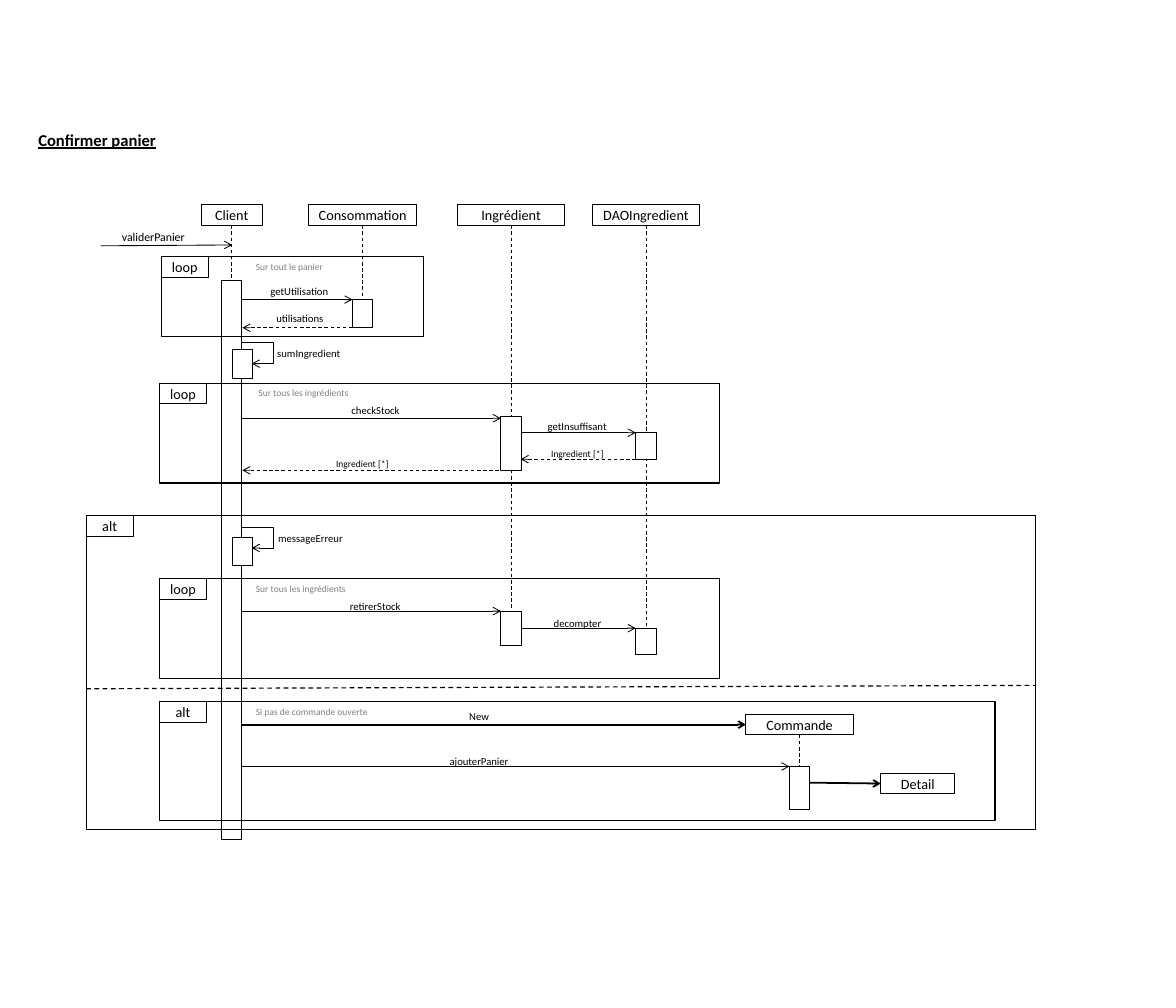
from dataclasses import dataclass

from lxml.etree import SubElement
from pptx import Presentation
from pptx.dml.color import RGBColor
from pptx.enum.dml import MSO_LINE
from pptx.enum.shapes import MSO_CONNECTOR, MSO_SHAPE
from pptx.enum.text import MSO_ANCHOR, MSO_AUTO_SIZE, PP_ALIGN
from pptx.oxml.ns import qn
from pptx.shapes.autoshape import Shape
from pptx.shapes.connector import Connector
from pptx.shapes.shapetree import SlideShapes
from pptx.text.text import Font
from pptx.util import Inches, Pt

BLACK, WHITE, GREY = "000000", "FFFFFF", "808080"
ROW, BAR = 0.24, 0.24
HEIGHTS = {8: 0.24, 9: 0.25, 10: 0.27, 14: 0.34}
TOP, BOTTOM, LEFT = 0, 2, 1


@dataclass
class Life:
    name: str
    left: float
    top: float
    width: float
    bars: tuple[tuple[float, float], ...] = ()


@dataclass
class Label:
    text: str
    left: float
    top: float
    width: float
    size: int = 9
    color: str = BLACK


@dataclass
class Message:
    start: float
    end: float
    y: float
    label: Label | None = None
    dashed: bool = False
    weight: float = 0.75
    drop: float = 0
    root: str = ""
    goal: str = ""


@dataclass
class Loop:
    bar: float
    bend: float
    label: Label


@dataclass
class Frame:
    name: str
    left: float
    top: float
    width: float
    height: float
    guard: Label | None = None


LIVES = [
    Life("Client", 2.36, 2.4, 0.71, ((3.29, 6.55),)),
    Life("Consommation", 3.62, 2.4, 1.26, ((3.51, 0.33),)),
    Life("Ingrédient", 5.36, 2.4, 1.26, ((4.88, 0.63), (7.16, 0.4))),
    Life("DAOIngredient", 6.94, 2.4, 1.26, ((5.07, 0.31), (7.36, 0.31))),
    Life("Commande", 8.74, 8.37, 1.26, ((8.98, 0.5),)),
    Life("Detail", 10.32, 9.06, 0.87),
]
MESSAGES = [
    Message(1.18, 2.72, 2.88, Label("validerPanier", 1.33, 2.64, 0.95, 10), drop=-0.01),
    Message(2.84, 4.13, 3.51, Label("getUtilisation", 3.07, 3.29, 0.89)),
    Message(4.13, 2.84, 3.84, Label("utilisations", 3.14, 3.61, 0.76), True),
    Message(2.84, 5.87, 4.9, Label("checkStock", 4.02, 4.68, 0.77)),
    Message(6.1, 7.45, 5.07, Label("getInsuffisant", 6.32, 4.87, 0.9)),
    Message(7.45, 6.1, 5.38, Label("Ingredient [*]", 6.36, 5.2, 0.83, 8), True),
    Message(5.99, 2.84, 5.51, Label("Ingredient [*]", 3.84, 5.32, 0.83, 8), True,
            root="Ingrédient"),
    Message(2.84, 5.87, 7.16, Label("retirerStock", 4, 6.98, 0.81)),
    Message(6.1, 7.45, 7.36, Label("decompter", 6.39, 7.18, 0.77)),
    Message(2.84, 8.74, 8.49, Label("New", 5.4, 8.27, 0.44), weight=1.5, goal="Commande"),
    Message(2.84, 9.25, 8.98, Label("ajouterPanier", 5.17, 8.8, 0.9)),
    Message(9.49, 10.32, 9.17, weight=1.5, goal="Detail"),
]
LOOPS = [
    Loop(4.1, 4.04, Label("sumIngredient", 3.15, 4.01, 0.95)),
    Loop(6.3, 6.2, Label("messageErreur", 3.16, 6.18, 0.97)),
]
FRAMES = [
    Frame("loop", 1.89, 3.01, 3.07, 0.93, Label("Sur tout le panier", 2.9, 3.01, 0.99, 8, GREY)),
    Frame("loop", 1.87, 4.49, 6.56, 1.17,
          Label("Sur tous les ingrédients", 2.93, 4.49, 1.27, 8, GREY)),
    Frame("loop", 1.87, 6.78, 6.56, 1.17,
          Label("Sur tous les ingrédients", 2.9, 6.78, 1.27, 8, GREY)),
    Frame("alt", 1.87, 8.22, 9.79, 1.39,
          Label("Si pas de commande ouverte", 2.9, 8.22, 1.52, 8, GREY)),
    Frame("alt", 1.01, 6.04, 11.12, 3.68),
]


def paint(code: str) -> RGBColor:
    return RGBColor.from_string(code)


def style(font: Font, size: int, color: str) -> None:
    font.name, font.size = "Calibri", Pt(size)
    font.color.rgb = paint(color)


def draw_box(shapes: SlideShapes, left: float, top: float, width: float, height: float,
             text: str = "", fill: str = "", weight: float = 0.75) -> Shape:
    box = shapes.add_shape(MSO_SHAPE.RECTANGLE, Inches(left), Inches(top),
                           Inches(width), Inches(height))
    box.shadow.inherit = False
    if fill:
        box.fill.solid()
        box.fill.fore_color.rgb = paint(fill)
    else:
        box.fill.background()
    box.line.color.rgb, box.line.width = paint(BLACK), Pt(weight)
    if text:
        frame = box.text_frame
        frame.text, frame.vertical_anchor = text, MSO_ANCHOR.MIDDLE
        frame.paragraphs[0].alignment = PP_ALIGN.CENTER
        style(frame.paragraphs[0].runs[0].font, 12, BLACK)
    return box


def draw_label(shapes: SlideShapes, label: Label, wrap: bool = False) -> Font:
    box = shapes.add_textbox(Inches(label.left), Inches(label.top),
                             Inches(label.width), Inches(HEIGHTS[label.size]))
    frame = box.text_frame
    frame.text, frame.word_wrap = label.text, wrap
    frame.auto_size = MSO_AUTO_SIZE.SHAPE_TO_FIT_TEXT
    font = frame.paragraphs[0].runs[0].font
    style(font, label.size, label.color)
    return font


def draw_line(shapes: SlideShapes, x1: float, y1: float, x2: float, y2: float,
              dashed: bool = False, weight: float = 0.75, arrow: bool = False,
              kind: MSO_CONNECTOR = MSO_CONNECTOR.STRAIGHT) -> Connector:
    link = shapes.add_connector(kind, Inches(x1), Inches(y1), Inches(x2), Inches(y2))
    link.line.color.rgb, link.line.width = paint(BLACK), Pt(weight)
    if dashed:
        link.line.dash_style = MSO_LINE.DASH
    if arrow:
        SubElement(link.line._get_or_add_ln(), qn("a:tailEnd"), type="arrow")
    SubElement(link._element.spPr, qn("a:effectLst"))
    return link


def draw_loop(shapes: SlideShapes, loop: Loop) -> None:
    draw_box(shapes, 2.72, loop.bar, BAR, 0.33, fill=WHITE)
    link = draw_line(shapes, 3.05, loop.bend, 2.73, loop.bend + 0.12, arrow=True,
                     kind=MSO_CONNECTOR.ELBOW)
    props = link._element.spPr
    props.find(qn("a:xfrm")).set("rot", str(270 * 60000))
    shape = props.find(qn("a:prstGeom"))
    shape.set("prst", "bentConnector4")
    for name, size in (("adj1", 24200), ("adj2", 311600)):
        SubElement(shape.find(qn("a:avLst")), qn("a:gd"), name=name, fmla=f"val {size}")
    draw_label(shapes, loop.label)


def main() -> None:
    """Draw the sequence diagram and save it."""
    deck = Presentation()
    deck.slide_width, deck.slide_height = Inches(13.78), Inches(11.81)
    shapes = deck.slides.add_slide(deck.slide_layouts[6]).shapes
    title = draw_label(shapes, Label("Confirmer panier", 0.35, 1.47, 1.65, 14), wrap=True)
    title.bold = title.underline = True

    heads: dict[str, Shape] = {}
    bars: dict[str, list[Shape]] = {}
    for life in LIVES:
        heads[life.name] = draw_box(shapes, life.left, life.top, life.width, ROW, life.name)
        mid = life.left + life.width / 2
        if life.bars:
            stem = draw_line(shapes, mid, life.top + ROW, mid, sum(life.bars[-1]), dashed=True)
            bars[life.name] = [draw_box(shapes, mid - BAR / 2, top, BAR, height, fill=WHITE)
                               for top, height in life.bars]
            stem.begin_connect(heads[life.name], BOTTOM)
            stem.end_connect(bars[life.name][-1], BOTTOM)

    for item in MESSAGES:
        link = draw_line(shapes, item.start, item.y, item.end, item.y + item.drop,
                         item.dashed, item.weight, arrow=True)
        if item.root:
            link.begin_connect(bars[item.root][0], BOTTOM)
        if item.goal:
            link.end_connect(heads[item.goal], LEFT)
        if item.label:
            draw_label(shapes, item.label)

    for loop in LOOPS:
        draw_loop(shapes, loop)

    for part in FRAMES:
        draw_box(shapes, part.left, part.top, part.width, part.height, weight=1)
        draw_box(shapes, part.left, part.top, 0.55, ROW, part.name)
        if part.guard:
            draw_label(shapes, part.guard)
    draw_line(shapes, 1.01, 8.07, 12.13, 8.03, dashed=True, weight=1)
    deck.save("out.pptx")


if __name__ == "__main__":
    main()
